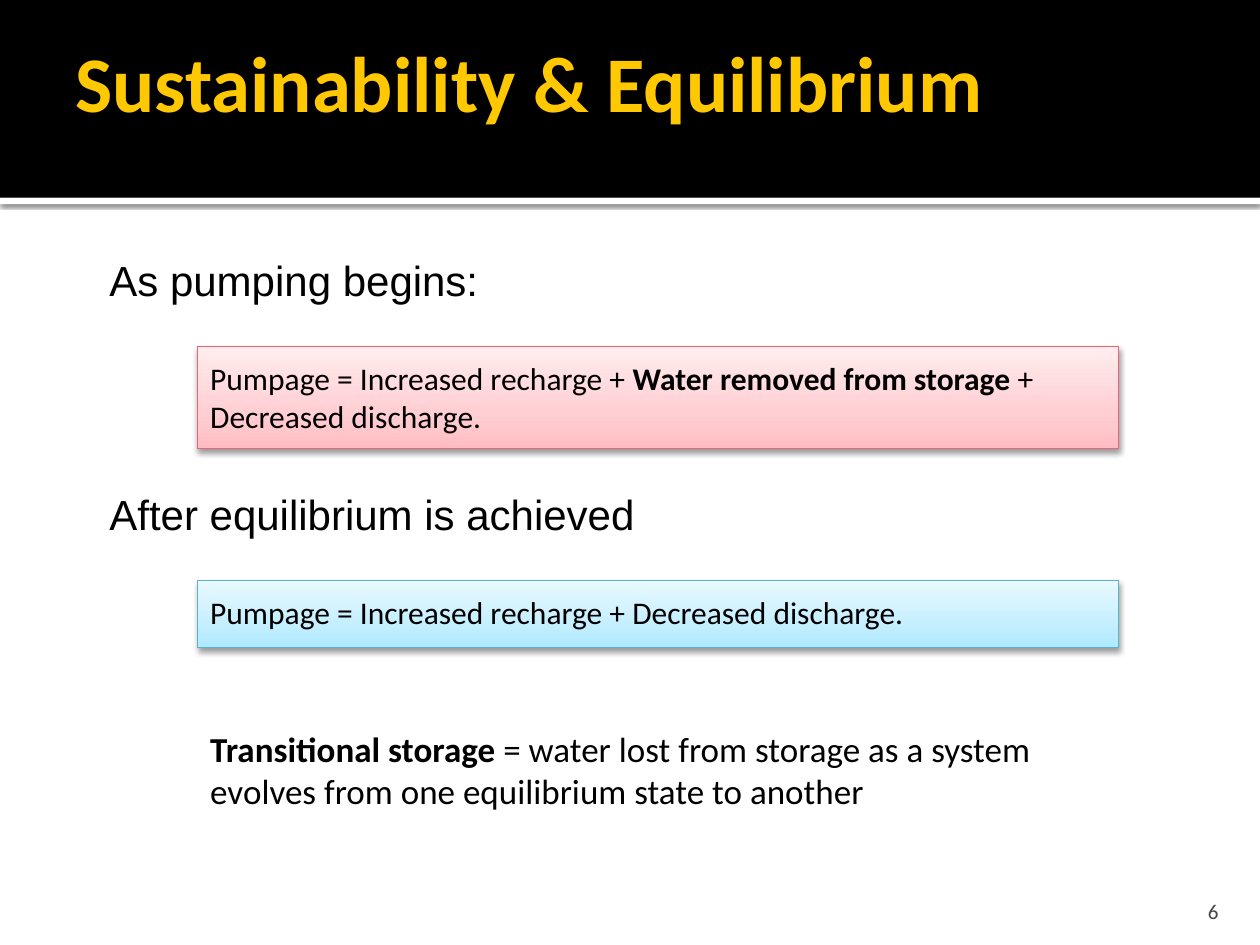
import dataclasses

import pptx
import pptx.dml.color
import pptx.enum.shapes
import pptx.enum.text
import pptx.oxml.ns
import pptx.util
from lxml import etree

Inches = pptx.util.Inches
Pt = pptx.util.Pt
qn = pptx.oxml.ns.qn
Align = pptx.enum.text.PP_ALIGN
Anchor = pptx.enum.text.MSO_ANCHOR


@dataclasses.dataclass(frozen=True)
class Theme:
    body_font: str = "Calibri"
    heading_font: str = "Arial"
    black: str = "000000"
    white: str = "FFFFFF"
    title: str = "FFC800"
    number: str = "454545"
    red_line: str = "E46778"
    red_stops: tuple = ((0, "FFBCC2"), (35, "FFCFD3"), (100, "FFEDEE"))
    blue_line: str = "5BB3CA"
    blue_stops: tuple = ((0, "ADE9FF"), (35, "C5EFFF"), (100, "E9F9FF"))
    title_size: int = 45
    heading_size: int = 24
    definition_size: int = 20
    equation_size: int = 18
    number_size: int = 12


THEME = Theme()


def rgb(color):
    return pptx.dml.color.RGBColor.from_string(color)


def write_text(shape, parts, size, font=THEME.body_font, color=THEME.black,
               align=Align.LEFT, anchor=Anchor.TOP):
    """Write one paragraph from (text, bold) parts."""
    frame = shape.text_frame
    frame.word_wrap = True
    frame.vertical_anchor = anchor
    frame.margin_left = frame.margin_right = Inches(0.1)
    frame.margin_top = frame.margin_bottom = Inches(0.1)
    paragraph = frame.paragraphs[0]
    paragraph.alignment = align
    for text, bold in parts:
        run = paragraph.add_run()
        run.text = text
        run.font.name = font
        run.font.size = Pt(size)
        run.font.bold = bold
        run.font.color.rgb = rgb(color)


def add_text(slide, box, parts, size, **style):
    text_box = slide.shapes.add_textbox(*map(Inches, box))
    write_text(text_box, parts, size, **style)


def add_rectangle(slide, box, color):
    shape = slide.shapes.add_shape(
        pptx.enum.shapes.MSO_SHAPE.RECTANGLE, *map(Inches, box))
    shape.shadow.inherit = False
    shape.fill.solid()
    shape.fill.fore_color.rgb = rgb(color)
    shape.line.fill.background()
    return shape


def add_shadow(shape, opacity, blur, distance):
    """Cast a black shadow straight down; blur and distance are in points."""
    effects = shape._element.spPr.find(qn("a:effectLst"))
    shadow = etree.SubElement(
        effects, qn("a:outerShdw"), blurRad=str(int(Pt(blur))),
        dist=str(int(Pt(distance))), dir="5400000", rotWithShape="0")
    color = etree.SubElement(shadow, qn("a:srgbClr"), val=THEME.black)
    etree.SubElement(color, qn("a:alpha"), val=str(opacity * 1000))


def fill_upward(shape, stops):
    """Fill with a gradient that runs from bottom to top."""
    shape.fill.gradient()
    gradient = shape._element.spPr.find(qn("a:gradFill"))
    stop_list = gradient.find(qn("a:gsLst"))
    for stop in list(stop_list):
        stop_list.remove(stop)
    for position, color in stops:
        stop = etree.SubElement(stop_list, qn("a:gs"), pos=str(position * 1000))
        etree.SubElement(stop, qn("a:srgbClr"), val=color)
    gradient.find(qn("a:lin")).set("ang", "16200000")


def add_header(slide, box, title):
    left, top, width, height = box
    rule = add_rectangle(slide, (left, top + height, width, 0.05), THEME.white)
    add_shadow(rule, 60, 2.5, 0.8)
    add_rectangle(slide, box, THEME.black)
    add_text(slide, (left + 0.5, top + 0.17, width - 1, height - 0.2),
             [(title, True)], THEME.title_size, color=THEME.title)


def add_stage(slide, box, heading, equation, stops, line_color):
    """Add a heading with its equation panel at the foot of the box."""
    left, top, width, height = box
    add_text(slide, (left, top, 5.7, 0.61), [(heading, False)],
             THEME.heading_size, font=THEME.heading_font)
    panel_top = 0.83
    panel = add_rectangle(
        slide, (left + 0.8, top + panel_top, width - 0.8, height - panel_top),
        THEME.white)
    fill_upward(panel, stops)
    panel.line.color.rgb = rgb(line_color)
    panel.line.width = Pt(0.5)
    add_shadow(panel, 38, 3.5, 2)
    write_text(panel, equation, THEME.equation_size)


def main():
    presentation = pptx.Presentation()
    presentation.slide_width = Inches(10)
    presentation.slide_height = Inches(7.5)
    slide = presentation.slides.add_slide(presentation.slide_layouts[6])

    add_header(slide, (0, 0, 10, 1.57), "Sustainability & Equilibrium")
    add_stage(slide, (0.77, 1.92, 8.11, 1.64), "As pumping begins:",
              [("Pumpage = Increased recharge + ", False),
               ("Water removed from storage ", True),
               ("+ Decreased discharge.", False)],
              THEME.red_stops, THEME.red_line)
    add_stage(slide, (0.77, 3.78, 8.11, 1.36), "After equilibrium is achieved",
              [("Pumpage = Increased recharge + Decreased discharge.", False)],
              THEME.blue_stops, THEME.blue_line)
    add_text(slide, (1.57, 5.67, 7.49, 0.92),
             [("Transitional storage", True),
              (" = water lost from storage as a system evolves from one "
               "equilibrium state to another", False)],
             THEME.definition_size)
    add_text(slide, (8.97, 7.08, 0.8, 0.3), [("6", False)], THEME.number_size,
             color=THEME.number, align=Align.RIGHT, anchor=Anchor.MIDDLE)

    presentation.save("out.pptx")


if __name__ == "__main__":
    main()
